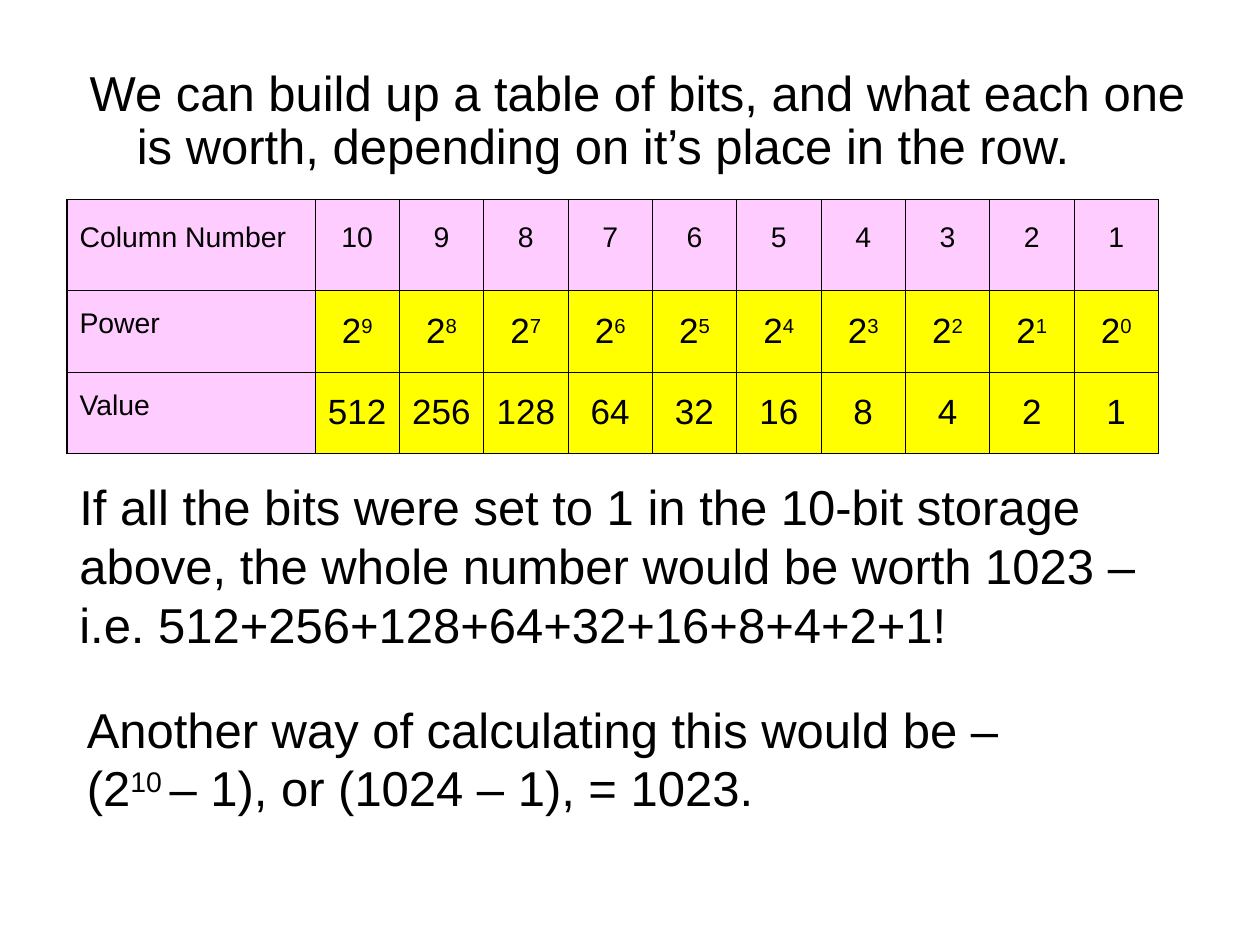
from dataclasses import dataclass

from pptx import Presentation
from pptx import util as u
from pptx.dml import color
from pptx.enum import text
from pptx.oxml import ns
from lxml import etree


@dataclass(frozen=True)
class Theme:
    font: str = "Arial"
    ink: str = "000000"
    heading_fill: str = "FFCCFF"
    value_fill: str = "FFFF00"
    body_size: int = 28
    value_size: int = 20
    left_line: float = 1.08
    grid_line: float = 0.45


THEME = Theme()
BITS = 10


def plain(wording):
    return wording, False


def raised(wording):
    """Superscript wording: exponents, and the small raised table headings."""
    return wording, True


def add_runs(paragraph, parts, size):
    """Write plain and raised parts as runs in one paragraph."""
    for wording, is_raised in parts:
        run = paragraph.add_run()
        run.text = wording
        run.font.name = THEME.font
        run.font.size = u.Pt(size)
        run.font.color.rgb = color.RGBColor.from_string(THEME.ink)
        if is_raised:
            run.font._element.set("baseline", "30000")


def add_statement(slide, left, top, width, height, lines):
    box = slide.shapes.add_textbox(u.Cm(left), u.Cm(top), u.Cm(width), u.Cm(height))
    frame = box.text_frame
    frame.word_wrap = True
    for number, parts in enumerate(lines):
        paragraph = frame.add_paragraph() if number else frame.paragraphs[0]
        add_runs(paragraph, parts, THEME.body_size)
    return frame


def set_borders(cell, left_width):
    """Draw the cell's four sides; only the left one varies in width."""
    properties = cell._tc.get_or_add_tcPr()
    for side in "LRTB":
        width = left_width if side == "L" else THEME.grid_line
        line = etree.SubElement(properties, ns.qn(f"a:ln{side}"), w=str(u.Pt(width)))
        fill = etree.SubElement(line, ns.qn("a:solidFill"))
        etree.SubElement(fill, ns.qn("a:srgbClr"), val=THEME.ink)


def add_bit_table(slide):
    powers = range(BITS - 1, -1, -1)
    rows = [
        [[raised("Column Number")]] + [[raised(str(p + 1))] for p in powers],
        [[raised("Power")]] + [[plain("2"), raised(str(p))] for p in powers],
        [[raised("Value")]] + [[plain(str(2 ** p))] for p in powers],
    ]
    label_width, bit_width = 5, 1.7
    heights = [1.84, 1.64, 1.64]
    table = slide.shapes.add_table(
        len(rows), BITS + 1, u.Cm(1.35), u.Cm(4.02),
        u.Cm(label_width + BITS * bit_width), u.Cm(sum(heights))).table

    for column, place in enumerate(table.columns):
        place.width = u.Cm(bit_width if column else label_width)
    for row, height in enumerate(heights):
        table.rows[row].height = u.Cm(height)

    for row, entries in enumerate(rows):
        for column, parts in enumerate(entries):
            cell = table.cell(row, column)
            is_heading = row == 0 or column == 0
            set_borders(cell, THEME.grid_line if column else THEME.left_line)
            cell.fill.solid()
            cell.fill.fore_color.rgb = color.RGBColor.from_string(
                THEME.heading_fill if is_heading else THEME.value_fill)
            cell.vertical_anchor = text.MSO_ANCHOR.MIDDLE
            paragraph = cell.text_frame.paragraphs[0]
            if column:
                paragraph.alignment = text.PP_ALIGN.CENTER
            add_runs(paragraph, parts,
                     THEME.body_size if is_heading else THEME.value_size)


def main():
    deck = Presentation()
    deck.slide_width, deck.slide_height = u.Cm(25.4), u.Cm(19.05)
    slide = deck.slides.add_slide(deck.slide_layouts[6])

    # Introduction, with a hanging indent
    intro = add_statement(slide, 1.56, 1.27, 23.01, 2.59, [[plain(
        "We can build up a table of bits, and what each one is worth, "
        "depending on it’s place in the row.")]])
    intro.paragraphs[0].line_spacing = 0.9
    hanging = intro.paragraphs[0]._p.get_or_add_pPr()
    hanging.set("marL", str(u.Cm(0.95)))
    hanging.set("indent", str(-u.Cm(0.95)))

    # Place values of the bits
    add_bit_table(slide)

    # Sum of all bits
    add_statement(slide, 1.35, 9.48, 23.22, 3.81, [[plain(
        "If all the bits were set to 1 in the 10-bit storage above, the whole "
        "number would be worth 1023 – i.e. 512+256+128+64+32+16+8+4+2+1!")]])

    # Shortcut calculation
    add_statement(slide, 1.5, 13.97, 21.56, 2.64, [
        [plain("Another way of calculating this would be –")],
        [plain("(2"), raised("10 "), plain("– 1), or (1024 – 1), = 1023.")],
    ])

    deck.save("out.pptx")


if __name__ == "__main__":
    main()
